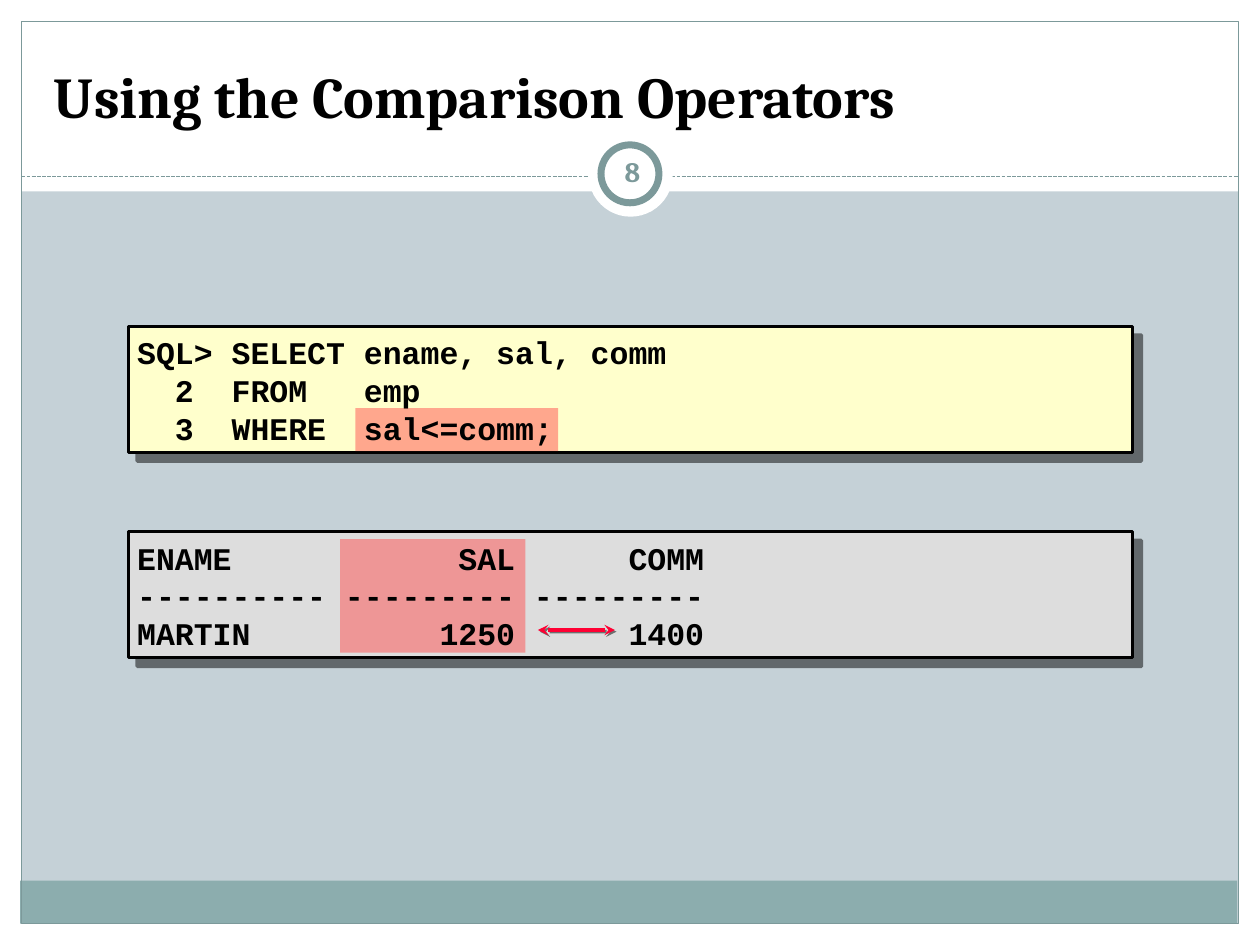
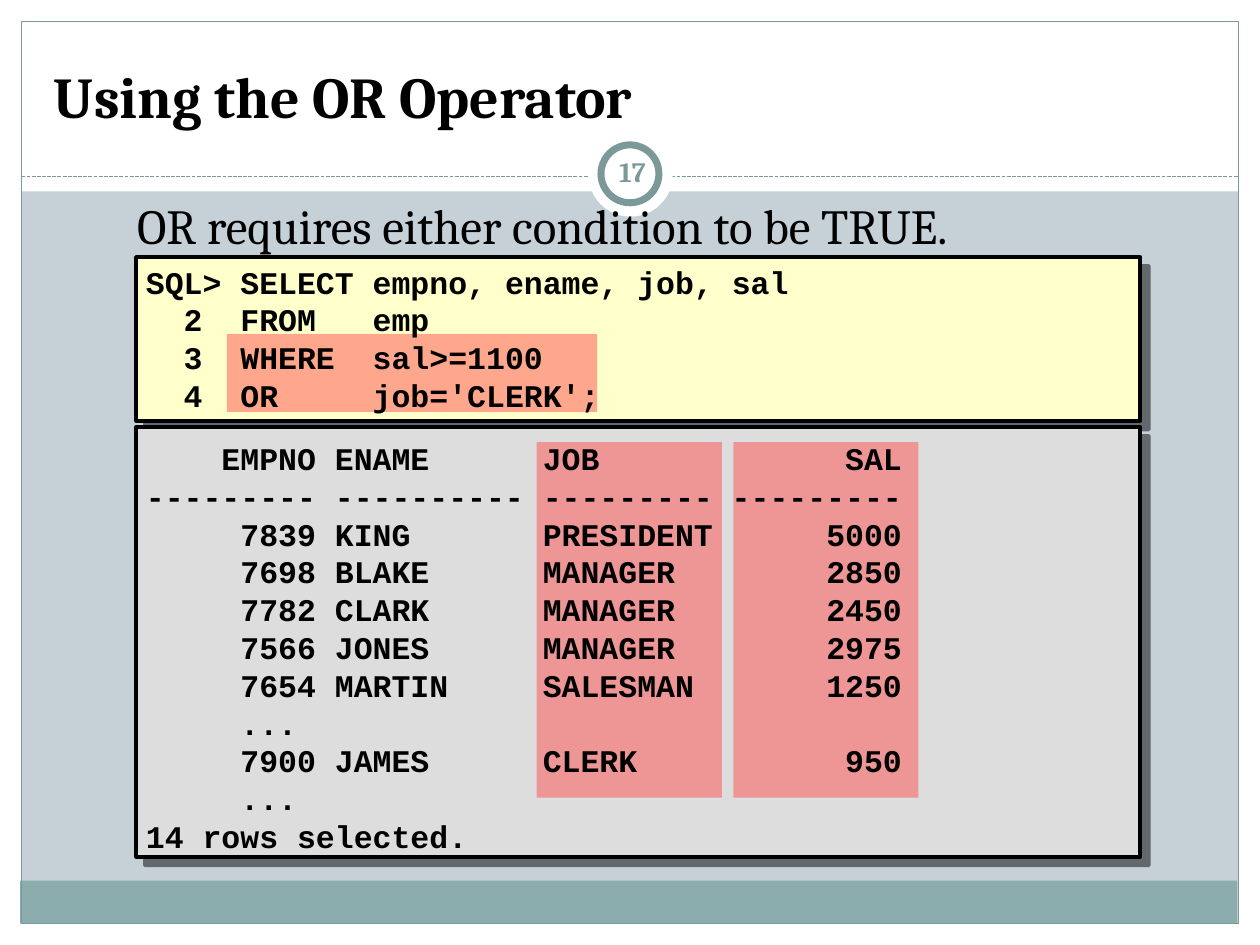
from lxml.etree import SubElement
from pptx import Presentation
from pptx.dml.color import RGBColor
from pptx.enum.dml import MSO_LINE
from pptx.enum.shapes import MSO_CONNECTOR, MSO_SHAPE
from pptx.enum.text import MSO_ANCHOR, PP_ALIGN
from pptx.oxml.ns import qn
from pptx.util import Inches, Pt

RECT, OVAL = MSO_SHAPE.RECTANGLE, MSO_SHAPE.OVAL
LINE = MSO_CONNECTOR.STRAIGHT
DASH = MSO_LINE.SQUARE_DOT
TOP, MIDDLE, BOTTOM = MSO_ANCHOR.TOP, MSO_ANCHOR.MIDDLE, MSO_ANCHOR.BOTTOM
LEFT, CENTER = PP_ALIGN.LEFT, PP_ALIGN.CENTER

WHITE = RGBColor(0xFF, 0xFF, 0xFF)
BLACK = RGBColor(0, 0, 0)
MIST = RGBColor(0xC5, 0xD1, 0xD7)
TEAL = RGBColor(0x8C, 0xAD, 0xAE)
SLATE = RGBColor(0x7C, 0x99, 0x9A)
CREAM = RGBColor(0xFF, 0xFF, 0xCC)
SILVER = RGBColor(0xDD, 0xDD, 0xDD)
CORAL = RGBColor(0xFF, 0x50, 0x50)
RED = RGBColor(0xFF, 0x00, 0x33)

SERIF, MONO = "Cambria", "Courier New"
CODE_SIZE, CODE_LEAD = 18, Pt(21.6)
CHAR = 0.15


class Deck:
    """Holds the deck style and the slide being built."""

    def __init__(self):
        self.prs = Presentation()
        self.prs.slide_width, self.prs.slide_height = Inches(10), Inches(7.5)
        self.slide = None

    def page(self, title, number):
        self.slide = self.prs.slides.add_slide(self.prs.slide_layouts[6])
        back = self.slide.background.fill
        back.solid()
        back.fore_color.rgb = MIST
        for box in ((0, 7.33, 10, 0.17), (0, 0, 10, 1.52),
                    (0, 0, 0.17, 7.5), (9.83, 0, 0.17, 7.5)):
            self.shape(box, WHITE)
        self.shape((0.16, 6.99, 9.66, 0.34), TEAL)
        self.shape((0.17, 0.17, 9.66, 7.16), None, SLATE, 0.75)
        rule = self.line(0.17, 9.83, 1.4, SLATE, 0.75)
        rule.line.dash_style = DASH
        self.shade(rule)
        self.shape((4.67, 1.05, 0.67, 0.67), WHITE, kind=OVAL)
        self.shape((4.77, 1.15, 0.46, 0.46), WHITE, SLATE, 4, OVAL)
        self.text((0.33, 0.25, 9.33, 0.83), [title], 33, bold=True, anchor=BOTTOM)
        self.text((4.77, 1.12, 0.5, 0.48), [number], 16, SLATE, True,
                  anchor=MIDDLE, align=CENTER, pad=0.05)

    def shade(self, item, dist=None):
        effects = SubElement(item._element.spPr, qn("a:effectLst"))
        if dist:
            drop = SubElement(effects, qn("a:outerShdw"), dist=str(Pt(dist)),
                              dir="2700000", algn="ctr", rotWithShape="0")
            tint = SubElement(drop, qn("a:srgbClr"), val=str(BLACK))
            SubElement(tint, qn("a:alpha"), val="50000")

    def shape(self, box, fill, edge=None, width=0, kind=RECT, drop=None):
        item = self.slide.shapes.add_shape(kind, *map(Inches, box))
        if fill is None:
            item.fill.background()
        else:
            item.fill.solid()
            item.fill.fore_color.rgb = fill
        if edge is None:
            item.line.fill.background()
        else:
            item.line.color.rgb = edge
            item.line.width = Pt(width)
        self.shade(item, drop)
        return item

    def panel(self, box, fill):
        self.shape(box, fill, BLACK, 2, drop=7.1)

    def mark(self, box):
        item = self.shape(box, CORAL)
        tint = item._element.spPr.find(".//" + qn("a:srgbClr"))
        SubElement(tint, qn("a:alpha"), val="50000")

    def line(self, start, end, y, color, width):
        item = self.slide.shapes.add_connector(
            LINE, Inches(start), Inches(y), Inches(end), Inches(y))
        item.line.color.rgb = color
        item.line.width = Pt(width)
        return item

    def arrow(self, start, end, y):
        item = self.line(start, end, y, RED, 2)
        for tip in ("a:headEnd", "a:tailEnd"):
            SubElement(item.line._get_or_add_ln(), qn(tip), type="stealth")
        self.shade(item, 1.4)

    def text(self, box, rows, size, color=BLACK, bold=False, font=SERIF,
             anchor=TOP, align=LEFT, pad=0.1, lead=None, stops=()):
        frame = self.slide.shapes.add_textbox(*map(Inches, box)).text_frame
        frame.word_wrap = True
        frame.vertical_anchor = anchor
        frame.margin_left = frame.margin_right = Inches(pad)
        frame.margin_top = frame.margin_bottom = Inches(0.05)
        for i, row in enumerate(rows):
            para = frame.paragraphs[0] if i == 0 else frame.add_paragraph()
            para.alignment = align
            if lead:
                para.line_spacing = lead
            if stops:
                tabs = SubElement(para._p.get_or_add_pPr(), qn("a:tabLst"))
                for col, side in stops:
                    SubElement(tabs, qn("a:tab"), pos=str(Inches(col * CHAR)), algn=side)
            run = para.add_run()
            run.text = row
            run.font.name, run.font.size = font, Pt(size)
            run.font.bold, run.font.color.rgb = bold, color

    def code(self, box, rows, stops=()):
        self.text(box, rows, CODE_SIZE, bold=True, font=MONO, anchor=MIDDLE,
                  lead=CODE_LEAD, stops=stops)


def compare(deck):
    deck.page("Using the Comparison Operators", "8")
    deck.panel((1.02, 2.59, 7.97, 1), CREAM)
    deck.panel((1.02, 4.22, 7.97, 1), SILVER)
    deck.mark((2.82, 3.24, 1.61, 0.34))
    deck.mark((2.7, 4.28, 1.47, 0.9))
    deck.code((0.99, 2.58, 8, 1.03), [
        "SQL> SELECT ename, sal, comm",
        "  2  FROM   emp",
        "  3  WHERE  sal<=comm;",
    ])
    deck.code((0.99, 4.21, 8, 1.03), [
        "ENAME\tSAL\tCOMM",
        "\t".join("-" * n for n in (10, 9, 9)),
        "MARTIN\t1250\t1400",
    ], [(20, "r"), (30, "r")])
    deck.arrow(4.27, 4.88, 5)


def either(deck):
    deck.page("Using the OR Operator", "17")
    deck.panel((1.08, 2.04, 7.97, 1.3), CREAM)
    deck.panel((1.08, 3.39, 7.97, 3.41), SILVER)
    deck.text((0.99, 1.54, 8.33, 0.55),
              ["OR requires either condition to be TRUE."], 28, lead=0.95)
    deck.mark((1.8, 2.65, 2.94, 0.62))
    for x in (4.26, 5.82):
        deck.mark((x, 3.51, 1.47, 2.82))
    deck.code((1.06, 2.02, 8, 1.33), [
        "SQL> SELECT empno, ename, job, sal",
        "  2  FROM   emp",
        "  3  WHERE  sal>=1100",
        "  4  OR     job='CLERK';",
    ])
    deck.code((1.06, 3.57, 8, 3.13), [
        "\tEMPNO\tENAME\tJOB\tSAL",
        "\t".join("-" * n for n in (9, 10, 9, 9)),
        "\t\t7839\tKING\tPRESIDENT\t5000",
        "\t\t7698\tBLAKE\tMANAGER\t2850",
        "\t\t7782\tCLARK\tMANAGER\t2450",
        "\t\t7566\tJONES\tMANAGER\t2975",
        "\t\t7654\tMARTIN\tSALESMAN\t1250",
        "\t\t...",
        "\t\t7900\tJAMES\tCLERK\t950",
        "\t\t...",
        "14 rows selected.",
    ], [(4, "l"), (5, "l"), (10, "l"), (21, "l"), (40, "r")])


def main():
    deck = Deck()
    compare(deck)
    either(deck)
    deck.prs.save("out.pptx")


if __name__ == "__main__":
    main()
